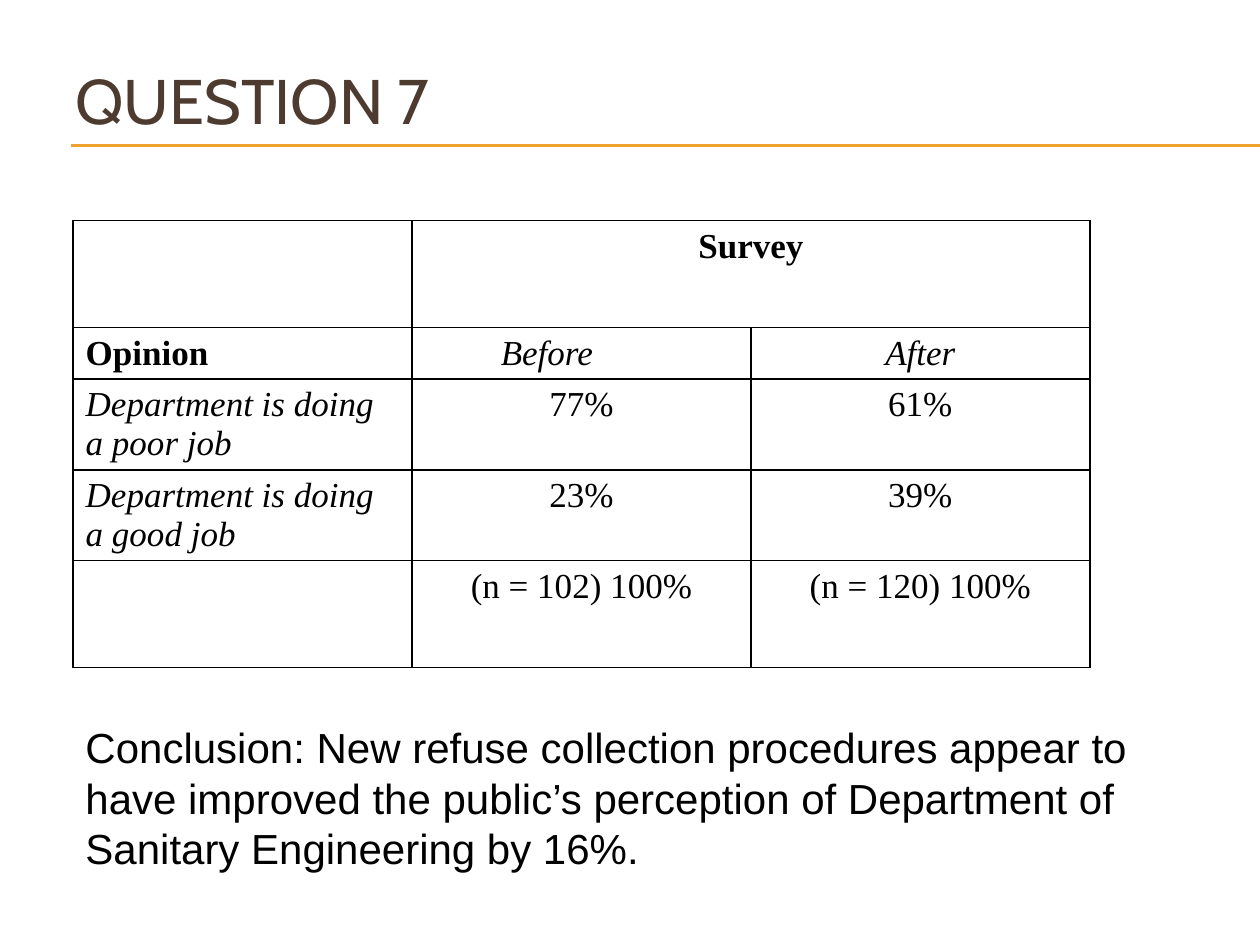
from dataclasses import dataclass

from lxml import etree
from pptx import Presentation
from pptx.dml.color import RGBColor
from pptx.enum import shapes, text
from pptx.oxml import ns
from pptx.util import Inches, Pt


@dataclass(frozen=True)
class Theme:
    title_font: str = "Cabin"
    table_font: str = "Times New Roman"
    body_font: str = "Arial"
    title_size: int = 36
    table_size: int = 20
    body_size: int = 24
    brown: str = "4E3B30"
    amber: str = "F0A22E"
    black: str = "000000"
    rule_width: float = 0.75
    border_width: float = 1


theme = Theme()

heading = "QUESTION 7"
survey_rows = [
    (0.85, [("", ""), ("Survey", "b"), ("", "")]),
    (0.41, [("Opinion", "b"), ("Before\t", "i"), ("After", "i")]),
    (0.72, [("Department is doing a poor job", "i"), ("77%", ""), ("61%", "")]),
    (0.72, [("Department is doing a good job", "i"), ("23%", ""), ("39%", "")]),
    (0.85, [("", ""), ("(n = 102) 100%", ""), ("(n = 120) 100%", "")]),
]
conclusion_text = (
    "Conclusion: New refuse collection procedures appear to have improved "
    "the public’s perception of Department of Sanitary Engineering by 16%."
)
column_width = 2.69
tab_stop = 1.28
rule_heights = (1.15, 1.16)


def color(value):
    return RGBColor.from_string(value)


def add_run(paragraph, words, font, size, ink, style=""):
    run = paragraph.add_run()
    run.text = words
    run.font.name = font
    run.font.size = Pt(size)
    run.font.color.rgb = color(ink)
    run.font.bold = "b" in style
    run.font.italic = "i" in style


def add_borders(cell):
    properties = cell._tc.get_or_add_tcPr()
    for position, side in enumerate(("lnL", "lnR", "lnT", "lnB")):
        border = etree.Element(ns.qn(f"a:{side}"), w=str(Pt(theme.border_width)))
        fill = etree.SubElement(border, ns.qn("a:solidFill"))
        etree.SubElement(fill, ns.qn("a:srgbClr"), val=theme.black)
        properties.insert(position, border)


def add_tab_stop(paragraph):
    tabs = etree.SubElement(paragraph._p.get_or_add_pPr(), ns.qn("a:tabLst"))
    etree.SubElement(tabs, ns.qn("a:tab"), pos=str(Inches(tab_stop)), algn="l")


deck = Presentation()
deck.slide_width, deck.slide_height = Inches(10), Inches(7.5)
slide = deck.slides.add_slide(deck.slide_layouts[5])

for height in rule_heights:
    rule = slide.shapes.add_connector(
        shapes.MSO_CONNECTOR.STRAIGHT,
        Inches(0.56), Inches(height), Inches(10), Inches(height),
    )
    rule.line.color.rgb = color(theme.amber)
    rule.line.width = Pt(theme.rule_width)
    etree.SubElement(rule._element.spPr, ns.qn("a:effectLst"))

title = slide.shapes.title
title.left, title.top = Inches(0.5), Inches(0.25)
title.width, title.height = Inches(9.17), Inches(1.08)
title.text_frame.auto_size = text.MSO_AUTO_SIZE.NONE
title.text_frame.vertical_anchor = text.MSO_ANCHOR.MIDDLE
title_line = title.text_frame.paragraphs[0]
title_line.alignment = text.PP_ALIGN.LEFT
add_run(title_line, heading, theme.title_font, theme.title_size, theme.brown)

column_count = len(survey_rows[0][1])
survey = slide.shapes.add_table(
    len(survey_rows), column_count, Inches(0.58), Inches(1.75),
    Inches(column_width * column_count),
    Inches(sum(height for height, _ in survey_rows)),
).table
survey.first_row = survey.horz_banding = False
for column in survey.columns:
    column.width = Inches(column_width)

for row_index, (height, entries) in enumerate(survey_rows):
    survey.rows[row_index].height = Inches(height)
    for column_index, (words, style) in enumerate(entries):
        cell = survey.cell(row_index, column_index)
        cell.fill.background()
        add_borders(cell)
        if not words:
            continue
        entry = cell.text_frame.paragraphs[0]
        entry.alignment = text.PP_ALIGN.CENTER if column_index else text.PP_ALIGN.LEFT
        if "\t" in words:
            add_tab_stop(entry)
        add_run(entry, words, theme.table_font, theme.table_size, theme.black, style)
survey.cell(0, 1).merge(survey.cell(0, 2))

conclusion = slide.shapes.add_textbox(
    Inches(0.58), Inches(5.68), Inches(8.82), Inches(1.3)
).text_frame
conclusion.word_wrap = True
conclusion.auto_size = text.MSO_AUTO_SIZE.SHAPE_TO_FIT_TEXT
conclusion.vertical_anchor = text.MSO_ANCHOR.MIDDLE
add_run(conclusion.paragraphs[0], conclusion_text,
        theme.body_font, theme.body_size, theme.black)

deck.save("out.pptx")
